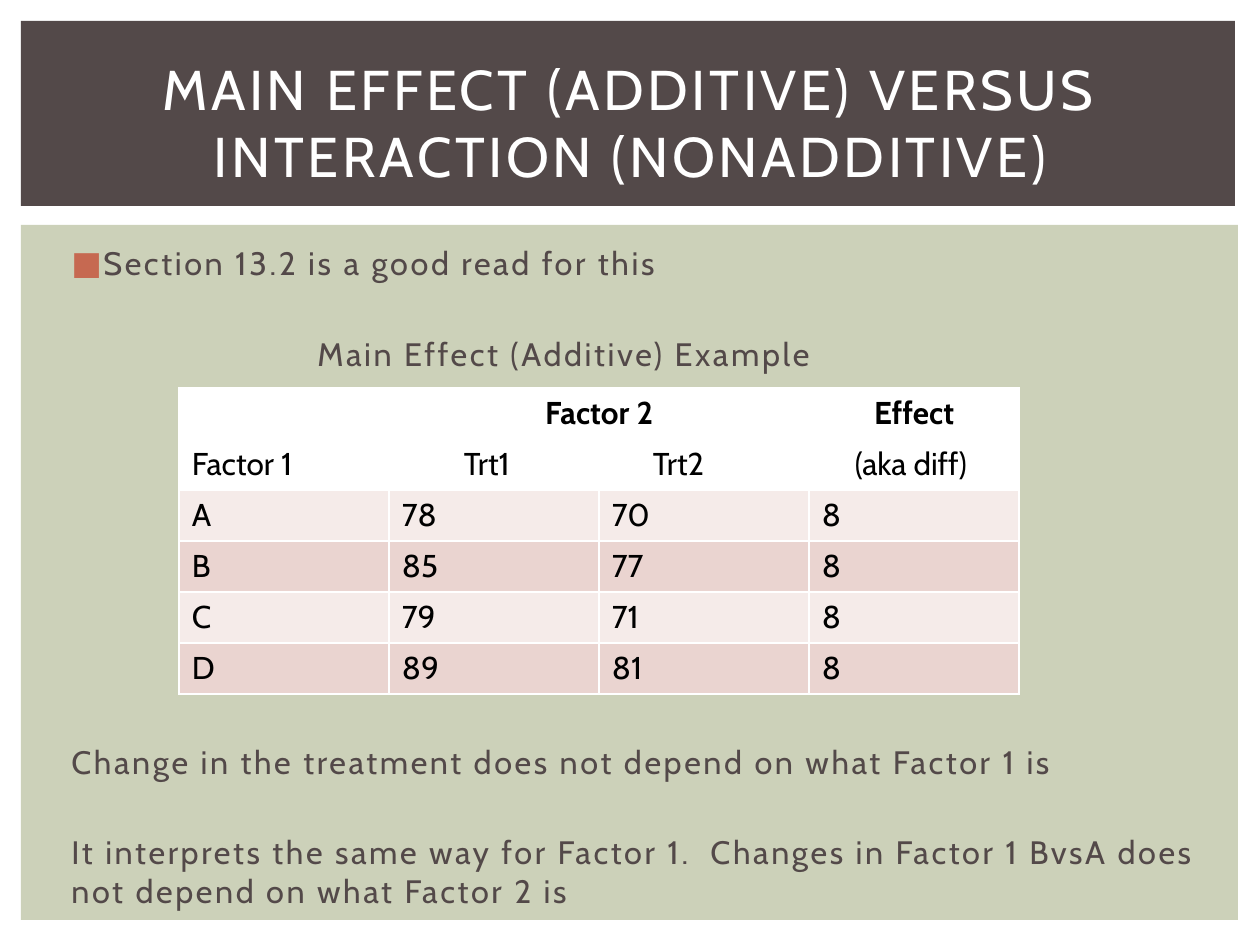
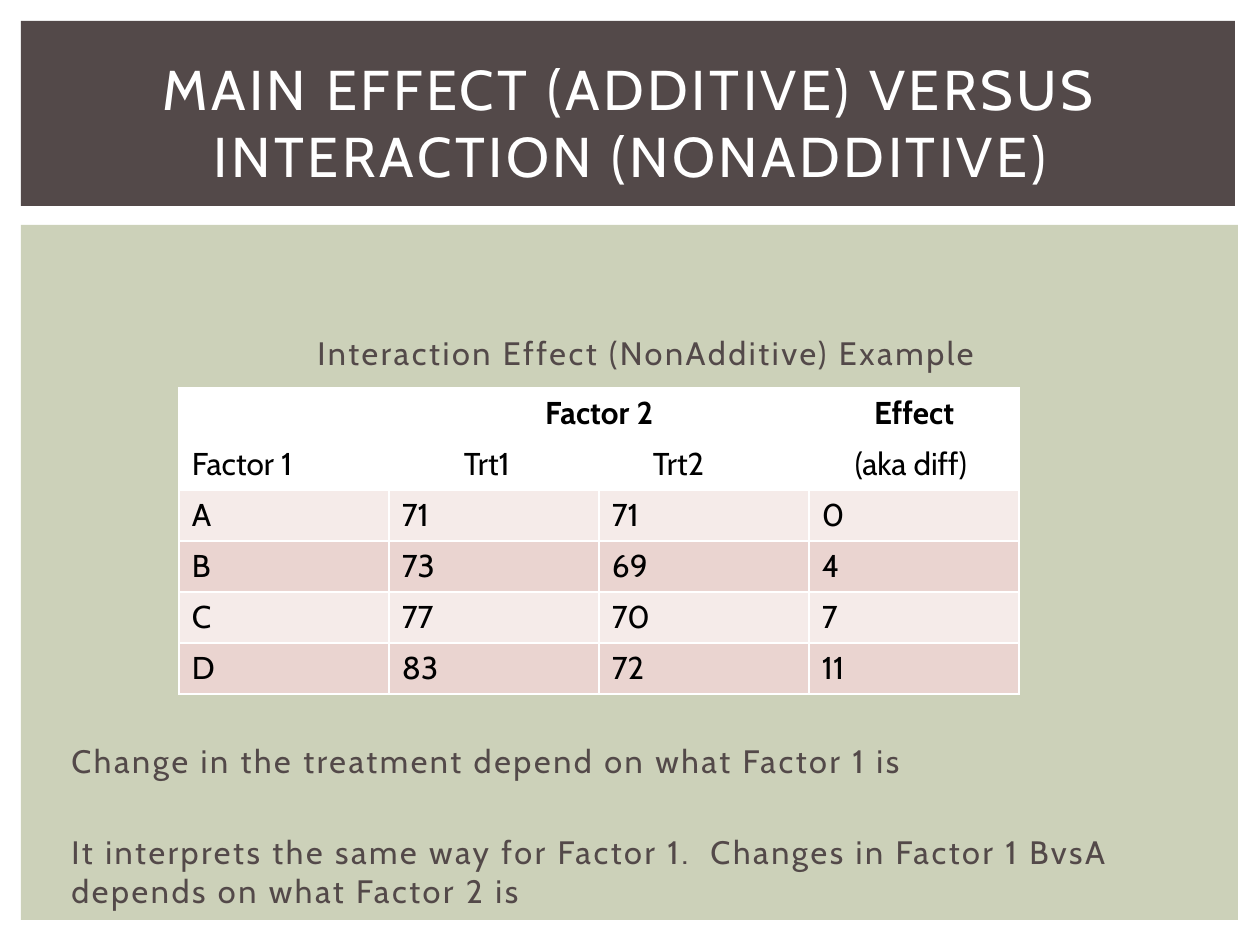
import pptx
import pptx.util
import pptx.dml.color
import pptx.enum.shapes
import pptx.enum.text
import pptx.oxml
import pptx.oxml.ns

RGB = pptx.dml.color.RGBColor
ALIGN = pptx.enum.text.PP_ALIGN
ANCHOR = pptx.enum.text.MSO_ANCHOR

TITLE = "MAIN EFFECT (ADDITIVE) VERSUS INTERACTION (NONADDITIVE)"
SLIDES = [
    {
        "reading": "Section 13.2 is a good read for this",
        "caption": "Main Effect (Additive) Example",
        "rows": [("A", 78, 70, 8), ("B", 85, 77, 8), ("C", 79, 71, 8), ("D", 89, 81, 8)],
        "treatment": "Change in the treatment does not depend on what Factor 1 is",
        "factor": "It interprets the same way for Factor 1.  Changes in Factor 1 BvsA "
                  "does not depend on what Factor 2 is",
    },
    {
        "reading": "",
        "caption": "Interaction Effect (NonAdditive) Example",
        "rows": [("A", 71, 71, 0), ("B", 73, 69, 4), ("C", 77, 70, 7), ("D", 83, 72, 11)],
        "treatment": "Change in the treatment depend on what Factor 1 is",
        "factor": "It interprets the same way for Factor 1.  Changes in Factor 1 BvsA "
                  "depends on what Factor 2 is",
    },
]
GROUPS = ("", "Factor 2", "", "Effect")
HEADINGS = ("Factor 1", "Trt1", "Trt2", "(aka diff)")
HEADING_MARGINS = (13, 75, 54, 46)

FONT = "Cabin"
WHITE = RGB(0xFF, 0xFF, 0xFF)
BLACK = RGB(0, 0, 0)
BROWN = RGB(0x53, 0x49, 0x49)
SAGE = RGB(0xCC, 0xD1, 0xB9)
BULLET = RGB(0xC6, 0x69, 0x51)
BANDS = (RGB(0xF5, 0xEB, 0xE9), RGB(0xEA, 0xD4, 0xD0))

SCALE = 914400 // 126
BODY_SIZE = 18.5
GAP = 3.7
PITCH = 25.9
PITCH_PX = 45
CELL_W, CELL_H, CELL_MARGIN = 210, 51, 13


def px(n):
    return pptx.util.Emu(n * SCALE)


def add_text(p, text, size=BODY_SIZE, color=BROWN, bold=False, align=ALIGN.LEFT,
             spacing=0, before=0, margin=0, indent=0, bullet=None):
    p.alignment = align
    p.space_before = pptx.util.Pt(before)
    pPr = p._p.get_or_add_pPr()
    pPr.set("marL", str(px(margin)))
    pPr.set("indent", str(px(indent)))
    if bullet:
        ns = pptx.oxml.ns.nsdecls("a")
        for xml in (f'<a:buClr {ns}><a:srgbClr val="{BULLET}"/></a:buClr>',
                    f'<a:buFont {ns} typeface="{FONT}"/>',
                    f'<a:buChar {ns} char="{bullet}"/>'):
            pPr.append(pptx.oxml.parse_xml(xml))
    r = p.add_run()
    r.text = text
    r.font.name = FONT
    r.font.size = pptx.util.Pt(size)
    r.font.bold = bold
    r.font.color.rgb = color
    if spacing:
        r._r.get_or_add_rPr().set("spc", str(int(spacing * 100)))


def add_band(s, x, y, w, h, color):
    sp = s.shapes.add_shape(pptx.enum.shapes.MSO_SHAPE.RECTANGLE, px(x), px(y), px(w), px(h))
    sp.shadow.inherit = False
    sp.fill.solid()
    sp.fill.fore_color.rgb = color
    sp.line.fill.background()


def add_box(s, x, y, w, h, anchor=ANCHOR.TOP):
    tf = s.shapes.add_textbox(px(x), px(y), px(w), px(h)).text_frame
    tf.word_wrap = True
    tf.vertical_anchor = anchor
    return tf


def add_title(s):
    tf = add_box(s, 53, 49, 1155, 145, ANCHOR.MIDDLE)
    add_text(tf.paragraphs[0], TITLE, size=32, color=WHITE, align=ALIGN.CENTER, spacing=2)


def add_body(s, content):
    lines = [
        (content["caption"], PITCH + GAP, dict(margin=252)),
        (content["treatment"], 8 * PITCH + GAP, dict(margin=6)),
        (content["factor"], PITCH + GAP, dict(margin=6)),
    ]
    top, height = 237, 667
    if content["reading"]:
        lines.insert(0, (content["reading"], 0, dict(margin=38, indent=-32, bullet="■")))
    else:
        top, height = top + 2 * PITCH_PX, height - 2 * PITCH_PX
    tf = add_box(s, 53, top, 1158, height)
    for i, (text, before, layout) in enumerate(lines):
        p = tf.add_paragraph() if i else tf.paragraphs[0]
        add_text(p, text, before=before if i else 0, spacing=1.5, **layout)


def style_cell(cell, color, margin=CELL_MARGIN):
    cell.fill.solid()
    cell.fill.fore_color.rgb = color
    cell.margin_left = px(margin)
    tcPr = cell._tc.get_or_add_tcPr()
    for i, side in enumerate("LRTB"):
        tcPr.insert(i, pptx.oxml.parse_xml(
            f'<a:ln{side} {pptx.oxml.ns.nsdecls("a")} w="12700"><a:solidFill>'
            f'<a:srgbClr val="{WHITE}"/></a:solidFill></a:ln{side}>'))


def add_effects_table(s, rows):
    grid = [GROUPS, HEADINGS, *rows]
    n_rows, n_cols = len(grid), len(HEADINGS)
    table = s.shapes.add_table(n_rows, n_cols, px(179), px(388),
                               px(n_cols * CELL_W), px(n_rows * CELL_H)).table
    table.first_row = table.horz_banding = False
    for col in table.columns:
        col.width = px(CELL_W)
    for i, values in enumerate(grid):
        table.rows[i].height = px(CELL_H)
        for j, value in enumerate(values):
            cell = table.cell(i, j)
            style_cell(cell, WHITE if i < 2 else BANDS[i % 2],
                       HEADING_MARGINS[j] if i == 1 else CELL_MARGIN)
            if value != "":
                add_text(cell.text_frame.paragraphs[0], str(value), size=18, color=BLACK,
                         bold=i == 0, align=ALIGN.LEFT if i else ALIGN.CENTER)
    table.cell(0, 1).merge(table.cell(0, 2))


def main():
    prs = pptx.Presentation()
    prs.slide_width, prs.slide_height = px(1260), px(945)
    for content in SLIDES:
        s = prs.slides.add_slide(prs.slide_layouts[6])
        add_band(s, 21, 225, 1217, 695, SAGE)
        add_band(s, 21, 21, 1214, 185, BROWN)
        add_body(s, content)
        add_title(s)
        add_effects_table(s, content["rows"])
    prs.save("out.pptx")


if __name__ == "__main__":
    main()
